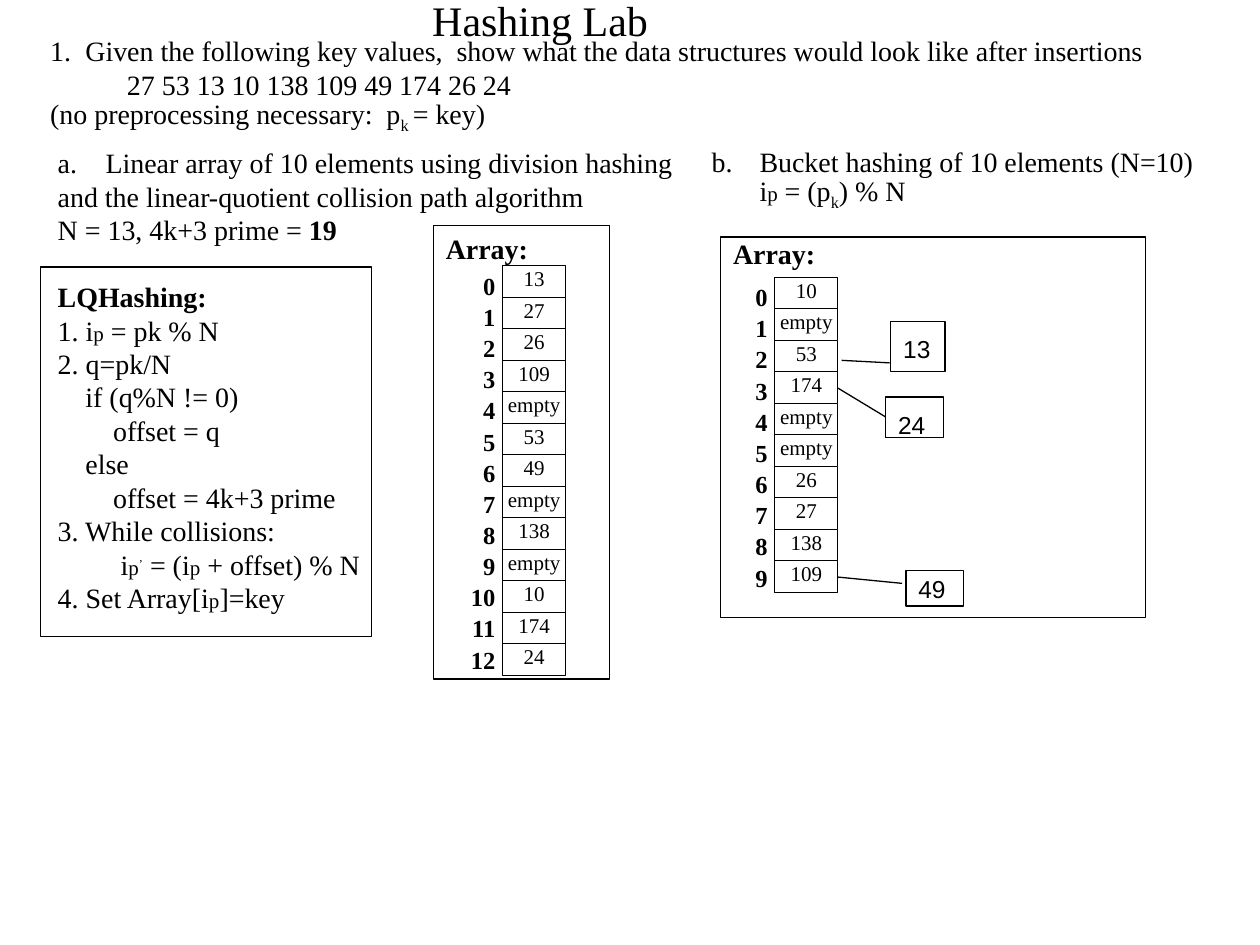
from lxml.etree import SubElement
from pptx import Presentation
from pptx.dml.color import RGBColor
from pptx.enum.shapes import MSO_CONNECTOR as Connector, MSO_SHAPE as Shape
from pptx.enum.text import MSO_ANCHOR as Anchor, MSO_AUTO_SIZE as AutoSize, PP_ALIGN as Align
from pptx.oxml.ns import qn
from pptx.util import Inches, Pt

BLACK = RGBColor(0, 0, 0)
WHITE = RGBColor(255, 255, 255)
SERIF, SANS = "Times New Roman", "Arial"
COLUMNS, ROWS = 100, 75
CELL_WIDTH, CELL_HEIGHT = 5, 2.5
BODY_PITCH, INDEX_PITCH = 19.1, 16.8
BASELINES = {"sub": "-25000", "sup": "30000"}

LINEAR_ARRAY = ["13", "27", "26", "109", "empty", "53", "49", "empty", "138",
                "empty", "10", "174", "24"]
BUCKET_ARRAY = ["10", "empty", "53", "174", "empty", "empty", "26", "27", "138", "109"]

SMALL_P = ("p", "small")
QUESTION = [
    dict(runs=["Given the following key values,  show what the data structures "
               "would look like after insertions"], number=1, scheme="arabicPeriod", hang=2.8),
    dict(runs=["27 53 13 10 138 109 49 174 26 24"], indent=6.1),
    dict(runs=["(no preprocessing necessary:  p", ("k ", "sub"), "= key)"]),
]
LINEAR_TASK = [
    dict(runs=["Linear array of 10 elements using division hashing"], number=1),
    dict(runs=["and the linear-quotient collision path algorithm"]),
    dict(runs=["N = 13, 4k+3 prime = ", ("19", "bold")]),
    dict(runs=[("LQHashing:", "bold")], before=BODY_PITCH),
    dict(runs=["1. i", SMALL_P, " = pk % N"]),
    dict(runs=["2. q=pk/N"]),
    dict(runs=["if (q%N != 0)"], indent=2.2),
    dict(runs=["offset = q"], indent=4.4),
    dict(runs=["else"], indent=2.2),
    dict(runs=["offset = 4k+3 prime"], indent=4.4),
    dict(runs=["3. While collisions:"]),
    dict(runs=["i", SMALL_P, ("\u2019", "sup"), " = (i", SMALL_P, " + offset) % N"], indent=5),
    dict(runs=["4. Set Array[i", SMALL_P, "]=key"]),
]
BUCKET_TASK = [
    dict(runs=["Bucket hashing of 10 elements (N=10) i", SMALL_P, " = (p",
               ("k", "sub"), ") % N"], number=2),
]


def units(*counts):
    """Convert grid columns or rows, each a tenth of an inch, to lengths."""
    return [Inches(count / 10) for count in counts]


def add_run(paragraph, text, style="", size=16, face=SERIF):
    """Append one run in the given style."""
    run = paragraph.add_run()
    run.text = text
    font = run.font
    font.name, font.bold = face, style == "bold"
    font.size = Pt(12 if style in ("small", "sup") else size)
    font.color.rgb = BLACK
    if style in BASELINES:
        run._r.get_or_add_rPr().set("baseline", BASELINES[style])


def set_frame(frame, insets=(1, 0.5), anchor=Anchor.TOP, grow=False):
    """Set the margins, anchor and wrapping of a text frame."""
    across, down = units(*insets)
    frame.margin_left = frame.margin_right = across
    frame.margin_top = frame.margin_bottom = down
    frame.vertical_anchor, frame.word_wrap = anchor, True
    frame.auto_size = AutoSize.SHAPE_TO_FIT_TEXT if grow else AutoSize.NONE


def set_indent(paragraph, indent, number, scheme, hang):
    """Indent a paragraph, with an automatic number if one is given."""
    properties = paragraph._p.get_or_add_pPr()
    left, first = units(hang, -hang) if number else units(indent, 0)
    properties.set("marL", str(left))
    properties.set("indent", str(first))
    if number:
        SubElement(properties, qn("a:buAutoNum"), type=scheme, startAt=str(number))


def add_text(slide, at, lines):
    """Add a text box of styled paragraphs."""
    frame = slide.shapes.add_textbox(*units(*at)).text_frame
    set_frame(frame, grow=True)
    for place, line in enumerate(lines):
        paragraph = frame.add_paragraph() if place else frame.paragraphs[0]
        paragraph.line_spacing = Pt(BODY_PITCH)
        paragraph.space_before = Pt(line.get("before", 0))
        set_indent(paragraph, line.get("indent", 0), line.get("number"),
                   line.get("scheme", "alphaLcPeriod"), line.get("hang", 3.8))
        for run in line["runs"]:
            add_run(paragraph, *([run] if isinstance(run, str) else run))


def add_box(shapes, at, text="", style="", size=16, face=SERIF, align=Align.LEFT,
            filled=True, **frame_options):
    """Add an outlined rectangle with an optional label."""
    box = shapes.add_shape(Shape.RECTANGLE, *units(*at))
    box.shadow.inherit = False
    box.line.color.rgb, box.line.width = BLACK, Pt(0.75)
    if filled:
        box.fill.solid()
        box.fill.fore_color.rgb = WHITE
    else:
        box.fill.background()
    set_frame(box.text_frame, **frame_options)
    if text:
        paragraph = box.text_frame.paragraphs[0]
        paragraph.alignment = align
        add_run(paragraph, text, style, size, face)


def add_array(slide, left, top, values, index_at):
    """Add a column of cells with its right-aligned index numbers."""
    shapes = slide.shapes.add_group_shape().shapes
    for place, value in enumerate(values):
        add_box(shapes, (left, top + place * CELL_HEIGHT, CELL_WIDTH, CELL_HEIGHT),
                value, size=12, align=Align.CENTER, insets=(0, 0))
    frame = shapes.add_textbox(*units(*index_at)).text_frame
    set_frame(frame, grow=True)
    for place in range(len(values)):
        paragraph = frame.add_paragraph() if place else frame.paragraphs[0]
        paragraph.alignment = Align.RIGHT
        paragraph.line_spacing = Pt(INDEX_PITCH)
        paragraph.space_before = Pt(1 if place else 0)
        add_run(paragraph, str(place), "bold", 14)


def add_link(slide, start, end):
    """Add a thin line from a cell to its chained key."""
    link = slide.shapes.add_connector(Connector.STRAIGHT, *units(*start, *end))
    link.line.color.rgb, link.line.width = BLACK, Pt(0.75)
    SubElement(link._element.spPr, qn("a:effectLst"))


def set_title(slide, at, text):
    """Place and format the title."""
    title = slide.shapes.title
    title.left, title.top, title.width, title.height = units(*at)
    set_frame(title.text_frame)
    paragraph = title.text_frame.paragraphs[0]
    paragraph.alignment = Align.LEFT
    add_run(paragraph, text, size=24)


def main():
    """Build and save the slide."""
    deck = Presentation()
    deck.slide_width, deck.slide_height = units(COLUMNS, ROWS)
    slide = deck.slides.add_slide(deck.slide_layouts[5])
    set_title(slide, (33.3, -0.9, 19.3, 5.1), "Hashing Lab")
    add_text(slide, (3, 2.2, 91.3, 9.1), QUESTION)

    add_text(slide, (3.6, 11.1, 51.5, 44.1), LINEAR_TASK)
    add_box(slide.shapes, (3.2, 21.2, 26.3, 29.3), filled=False)
    add_box(slide.shapes, (34.4, 17.9, 14, 36), "Array:", "bold")
    add_array(slide, 39.9, 21.1, LINEAR_ARRAY, (36.3, 21, 4, 33.3))

    add_text(slide, (55.5, 11, 40.6, 14.5), BUCKET_TASK)
    add_box(slide.shapes, (57.2, 18.8, 33.7, 30.2), "Array:", "bold", insets=(1, 0))
    add_array(slide, 61.5, 22, BUCKET_ARRAY, (58.9, 21.9, 3, 25.8))

    chains = [
        ("13", (70.7, 25.5, 4.3, 4), Anchor.TOP, (66.8, 28.6), (70.6, 28.8)),
        ("24", (70.3, 31.5, 4.6, 3.2), Anchor.TOP, (66.5, 30.8), (70.3, 33.1)),
        ("49", (71.9, 45.3, 4.6, 2.8), Anchor.MIDDLE, (66.5, 45.8), (71.6, 46.3)),
    ]
    for key, at, anchor, start, end in chains:
        add_link(slide, start, end)
        add_box(slide.shapes, at, key, size=14, face=SANS, insets=(1, 1), anchor=anchor)
    deck.save("out.pptx")


main()
